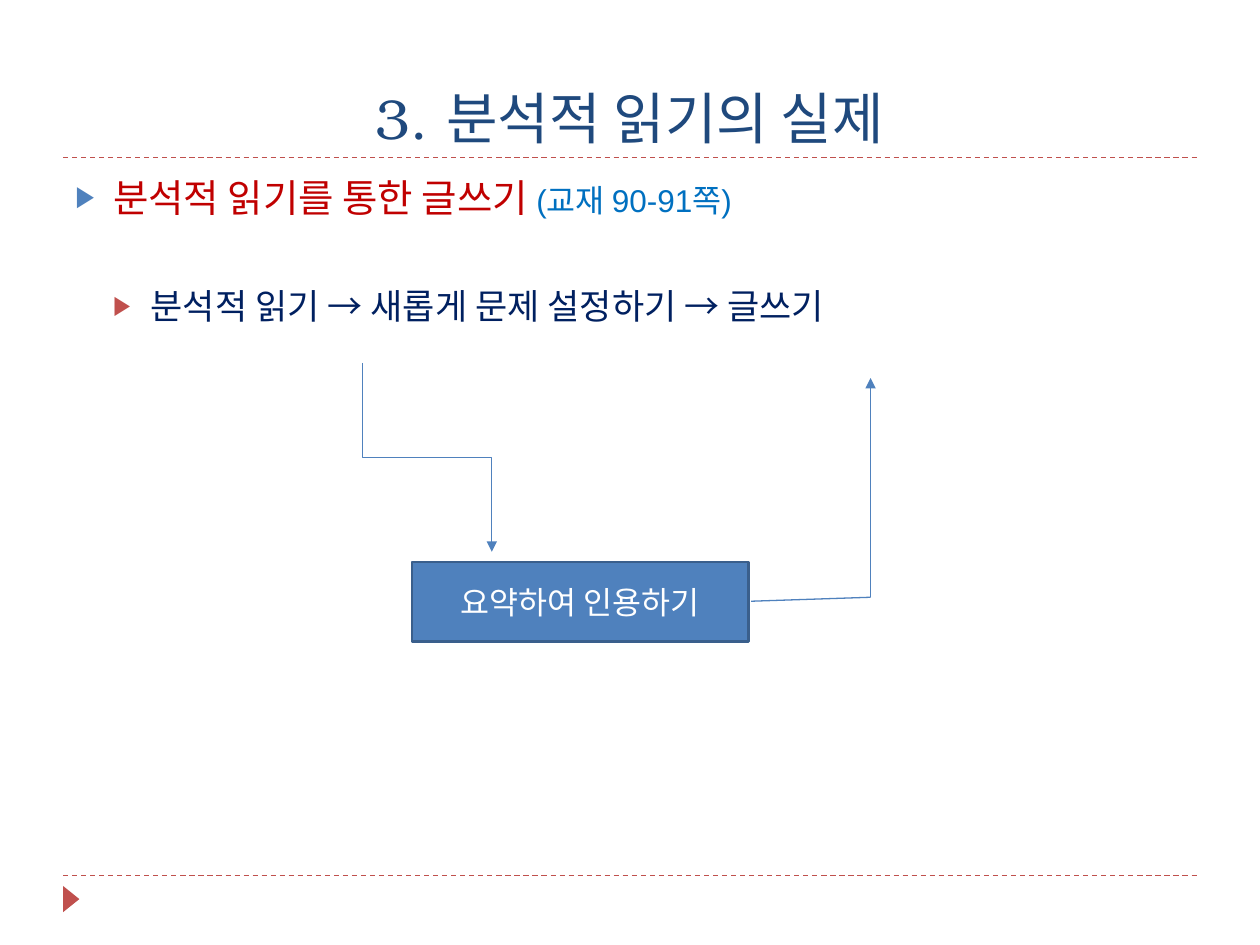
"""Build the slide on writing through analytical reading."""
from lxml.etree import SubElement
from pptx import Presentation
from pptx.dml.color import RGBColor
from pptx.enum.dml import MSO_LINE
from pptx.enum.shapes import MSO_CONNECTOR as Connector, MSO_SHAPE as Shape
from pptx.enum.text import MSO_ANCHOR as Anchor, PP_ALIGN as Align
from pptx.oxml.ns import qn
from pptx.util import Cm, Pt

BLUE = RGBColor(0x4F, 0x81, 0xBD)
BOX_EDGE = RGBColor(0x3A, 0x5F, 0x8C)
RED = RGBColor(0xC0, 0x50, 0x4D)
TITLE_BLUE = RGBColor(0x1F, 0x49, 0x7D)
HEADING_RED = RGBColor(0xC0, 0x00, 0x00)
PAGE_BLUE = RGBColor(0x00, 0x70, 0xC0)
NAVY = RGBColor(0x00, 0x20, 0x60)
WHITE = RGBColor(0xFF, 0xFF, 0xFF)
KOREAN = "Noto Sans CJK KR"

TITLE = ("3. 분석적 읽기의 실제", 32, TITLE_BLUE, "TeX Gyre Bonum")
BOX_LABEL = ("요약하여 인용하기", 18, WHITE, KOREAN)
BULLETS = [
    (0, 6, BLUE, [("분석적 읽기를 통한 글쓰기 ", 22, HEADING_RED, "Arial"),
                  ("(교재 90-91쪽)", 18, PAGE_BLUE, "Arial")]),
    (1, 37, RED, [("분석적 읽기 → 새롭게 문제 설정하기 → 글쓰기", 20, NAVY, "Arial")]),
]
LEFT, RIGHT = 1.27, 24.13
RULES = [17.65, 3.18]
INDENT = 0.76
ARROWS = [
    (Connector.ELBOW, (10.52, 7.92, 6.71, 10.52), 270, True),
    (Connector.STRAIGHT, (17.55, 12.04, 17.55, 7.62), 0, True),
    (Connector.STRAIGHT, (15.14, 12.12, 17.55, 12.04), 0, False),
]


def add_run(paragraph, text, size, color, font):
    run = paragraph.add_run()
    run.text = text
    run.font.size = Pt(size)
    run.font.color.rgb = color
    run.font.name = font
    SubElement(run.font._element, qn("a:ea"), typeface=KOREAN)


def add_text_box(slide, top, height, anchor):
    box = slide.shapes.add_textbox(Cm(LEFT), Cm(top), Cm(RIGHT - LEFT), Cm(height))
    box.text_frame.word_wrap = True
    box.text_frame.vertical_anchor = anchor
    return box.text_frame


def add_line(slide, kind, ends, color):
    line = slide.shapes.add_connector(kind, *map(Cm, ends))
    line.line.color.rgb = color
    line.line.width = Pt(0.75)
    SubElement(line._element.spPr, qn("a:effectLst"))
    return line


def add_solid(slide, kind, bounds, color):
    shape = slide.shapes.add_shape(kind, *map(Cm, bounds))
    shape.shadow.inherit = False
    shape.fill.solid()
    shape.fill.fore_color.rgb = color
    return shape


def add_bullet(paragraph, level, color):
    properties = paragraph._element.get_or_add_pPr()
    properties.set("marL", str(Cm(INDENT * (level + 1))))
    properties.set("indent", str(-Cm(INDENT)))
    bullet_color = SubElement(properties, qn("a:buClr"))
    SubElement(bullet_color, qn("a:srgbClr"), val=str(color))
    SubElement(properties, qn("a:buSzPct"), val="76000")
    SubElement(properties, qn("a:buFont"), typeface="Arial")
    SubElement(properties, qn("a:buChar"), char="▶")


def main():
    presentation = Presentation()
    presentation.slide_width, presentation.slide_height = Cm(25.4), Cm(19.05)
    slide = presentation.slides.add_slide(presentation.slide_layouts[6])

    for y in RULES:
        rule = add_line(slide, Connector.STRAIGHT, (LEFT, y, RIGHT, y), RED)
        rule.line.dash_style = MSO_LINE.DASH
    marker = add_solid(slide, Shape.ISOSCELES_TRIANGLE, (1.17, 17.96, 0.53, 0.33), RED)
    marker.rotation = 90
    marker.line.fill.background()

    title = add_text_box(slide, 0.43, 2.74, Anchor.BOTTOM).paragraphs[0]
    title.alignment = Align.CENTER
    add_run(title, *TITLE)

    body = add_text_box(slide, 3.38, 14.15, Anchor.TOP)
    for index, (level, space, color, runs) in enumerate(BULLETS):
        paragraph = body.add_paragraph() if index else body.paragraphs[0]
        paragraph.level = level
        paragraph.alignment = Align.JUSTIFY
        paragraph.space_before = Pt(space)
        add_bullet(paragraph, level, color)
        for run in runs:
            add_run(paragraph, *run)

    box = add_solid(slide, Shape.RECTANGLE, (8.31, 11.33, 6.78, 1.6), BLUE)
    box.line.color.rgb = BOX_EDGE
    box.line.width = Pt(1.5)
    box.text_frame.vertical_anchor = Anchor.MIDDLE
    label = box.text_frame.paragraphs[0]
    label.alignment = Align.CENTER
    add_run(label, *BOX_LABEL)

    for kind, ends, rotation, has_head in ARROWS:
        arrow = add_line(slide, kind, ends, BLUE)
        if rotation:
            arrow._element.spPr.find(qn("a:xfrm")).set("rot", str(rotation * 60000))
        if has_head:
            SubElement(arrow.line._get_or_add_ln(), qn("a:tailEnd"), type="triangle")

    presentation.save("out.pptx")


if __name__ == "__main__":
    main()
